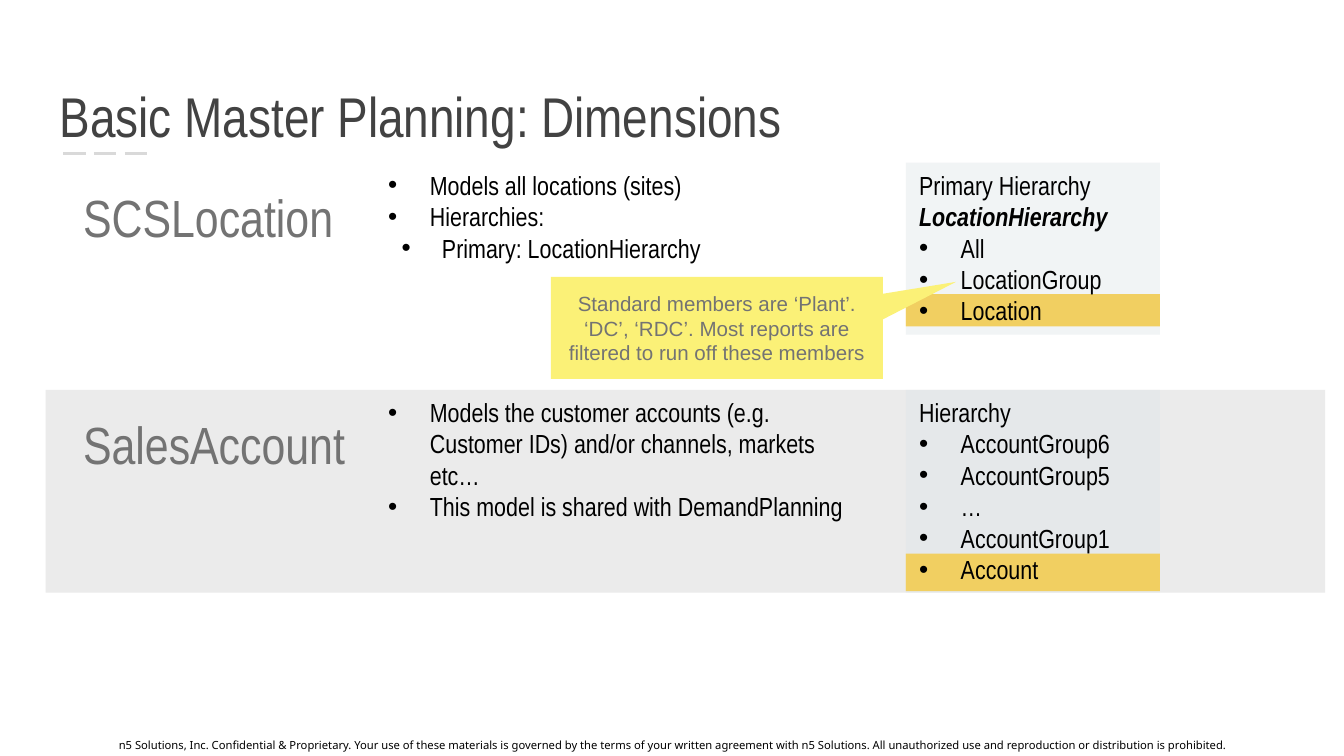
"""Builds the slide on the dimensions of basic master planning."""
from lxml.etree import SubElement
from pptx import Presentation
from pptx.dml.color import RGBColor
from pptx.enum.dml import MSO_LINE_DASH_STYLE as Dash
from pptx.enum.shapes import MSO_CONNECTOR as Link, MSO_SHAPE as Kind
from pptx.enum.text import MSO_ANCHOR as Anchor, PP_ALIGN as Align
from pptx.oxml.ns import qn
from pptx.util import Inches, Pt

deck = Presentation()
deck.slide_width = Inches(10)
deck.slide_height = deck.slide_width * 9 // 16
col, row = deck.slide_width / 100, deck.slide_height / 100
slide = deck.slides.add_slide(deck.slide_layouts[6])
shapes = slide.shapes
NARROW = "Arial Narrow"


def block(x, y, w, h, fill=None, kind=Kind.RECTANGLE):
    """Adds a filled shape, or a text box when there is no fill."""
    area = [round(x * col), round(y * row), round(w * col), round(h * row)]
    if not fill:
        return shapes.add_textbox(*area)
    shape = shapes.add_shape(kind, *area)
    shape.shadow.inherit = False
    shape.fill.solid()
    shape.fill.fore_color.rgb = RGBColor.from_string(fill)
    shape.line.fill.background()
    return shape


def write(shape, paras, size, color="000000", font=NARROW, align=Align.LEFT,
          anchor=Anchor.TOP, wrap=True, pad=0.05):
    """Fills a shape with paragraphs of (indent, hang, runs)."""
    frame = shape.text_frame
    frame.word_wrap, frame.vertical_anchor = wrap, anchor
    frame.margin_top = frame.margin_bottom = Inches(pad)
    for i, (indent, hang, runs) in enumerate(paras):
        para = frame.add_paragraph() if i else frame.paragraphs[0]
        para.alignment = align
        if hang:
            props = para._p.get_or_add_pPr()
            props.set("marL", str(Inches(indent)))
            props.set("indent", str(-Inches(hang)))
            tint = SubElement(props, qn("a:buClr"))
            SubElement(tint, qn("a:srgbClr"), val="000000")
            SubElement(props, qn("a:buFont"), typeface="Arial")
            SubElement(props, qn("a:buChar"), char="•")
        for text, strong in runs:
            run = para.add_run()
            run.text = text
            face = run.font
            face.name, face.size = font, Pt(size)
            face.bold = face.italic = strong
            face.color.rgb = RGBColor.from_string(color)


rule = shapes.add_connector(Link.STRAIGHT, round(4.7 * col), round(20.27 * row),
                            round(11.4 * col), round(20.27 * row))
rule.line.color.rgb = RGBColor.from_string("D9D9D9")
rule.line.width = Pt(1.5)
rule.line.dash_style = Dash.LONG_DASH
SubElement(rule._element.spPr, qn("a:effectLst"))

legal = ("n5 Solutions, Inc. Confidential & Proprietary. Your use of these materials "
         "is governed by the terms of your written agreement with n5 Solutions. "
         "All unauthorized use and reproduction or distribution is prohibited.")
write(block(0, 96.71, 100, 3.73), [(0, 0, [(legal, False)])], 6, font="Noto Sans",
      align=Align.CENTER, anchor=Anchor.MIDDLE, pad=0.1)
write(block(3.45, 7.29, 93.2, 14.22),
      [(0, 0, [("Basic Master Planning: Dimensions", False)])], 30, "424242",
      anchor=Anchor.BOTTOM, pad=0.1)

block(3.4, 51.56, 95.2, 26.84, "EBEBEB")

bands = [
    (21.51, 22.76, 38.93, 4.27, "SCSLocation", 20.8,
     [("Models all locations (sites)", 0.31, 0.31), ("Hierarchies:", 0.31, 0.31),
      ("Primary: LocationHierarchy", 0.4, 0.3)], 10.13,
     [("Primary Hierarchy ", False), ("LocationHierarchy", True)],
     ["All", "LocationGroup", "Location"]),
    (51.56, 26.84, 73.24, 4.98, "SalesAccount", 21.7,
     [("Models the customer accounts (e.g. Customer IDs) and/or channels, "
       "markets etc…", 0.31, 0.31),
      ("This model is shared with DemandPlanning", 0.31, 0.31)], 6.04,
     [("Hierarchy", False)],
     ["AccountGroup6", "AccountGroup5", "…", "AccountGroup1", "Account"]),
]
for top, tall, mark, thick, name, wide, notes, deep, head, levels in bands:
    block(67.4, mark, 18.9, thick, "FFC000")
    write(block(5.2, top + 2.13, wide, 10.13), [(0, 0, [(name, False)])], 28,
          "737373", wrap=False)
    card = block(67.4, top, 18.9, tall, "DEE5E9")
    shade = card._element.spPr.find(qn("a:solidFill"))[0]
    SubElement(shade, qn("a:alpha"), val="42000")
    write(card, [(0, 0, head)] + [(0.31, 0.31, [(level, False)]) for level in levels], 14)
    write(block(27.9, top, 36.1, deep),
          [(indent, hang, [(text, False)]) for text, indent, hang in notes], 14)

tip = block(41, 36.62, 24.7, 13.51, "FBF177", Kind.RECTANGULAR_CALLOUT)
tip.adjustments[0], tip.adjustments[1] = 0.72, -0.45
hint = ("Standard members are ‘Plant’. ‘DC’, ‘RDC’. "
        "Most reports are filtered to run off these members")
write(tip, [(0, 0, [(hint, False)])], 11, "737373", "Arial", Align.CENTER, Anchor.MIDDLE)

deck.save("out.pptx")
